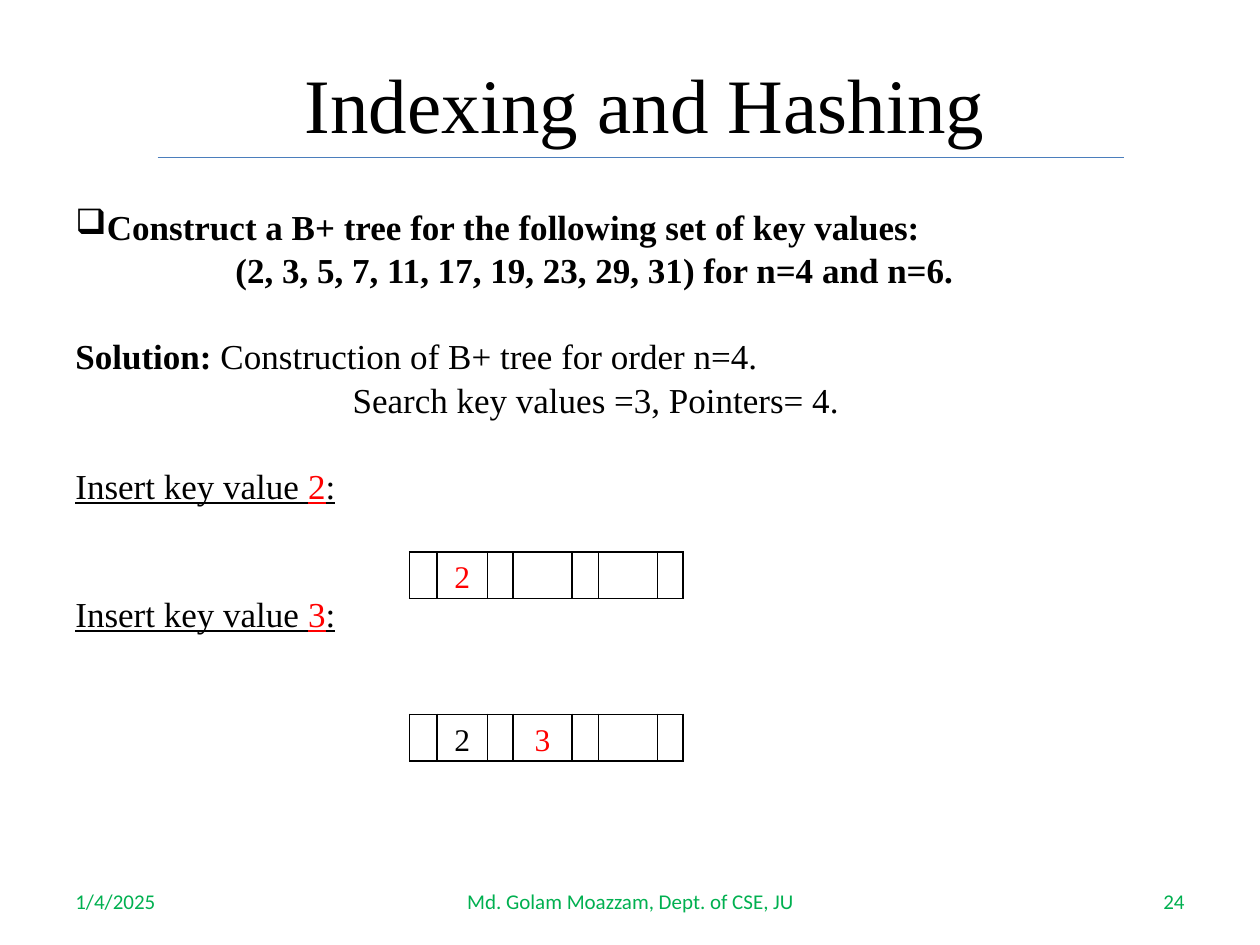
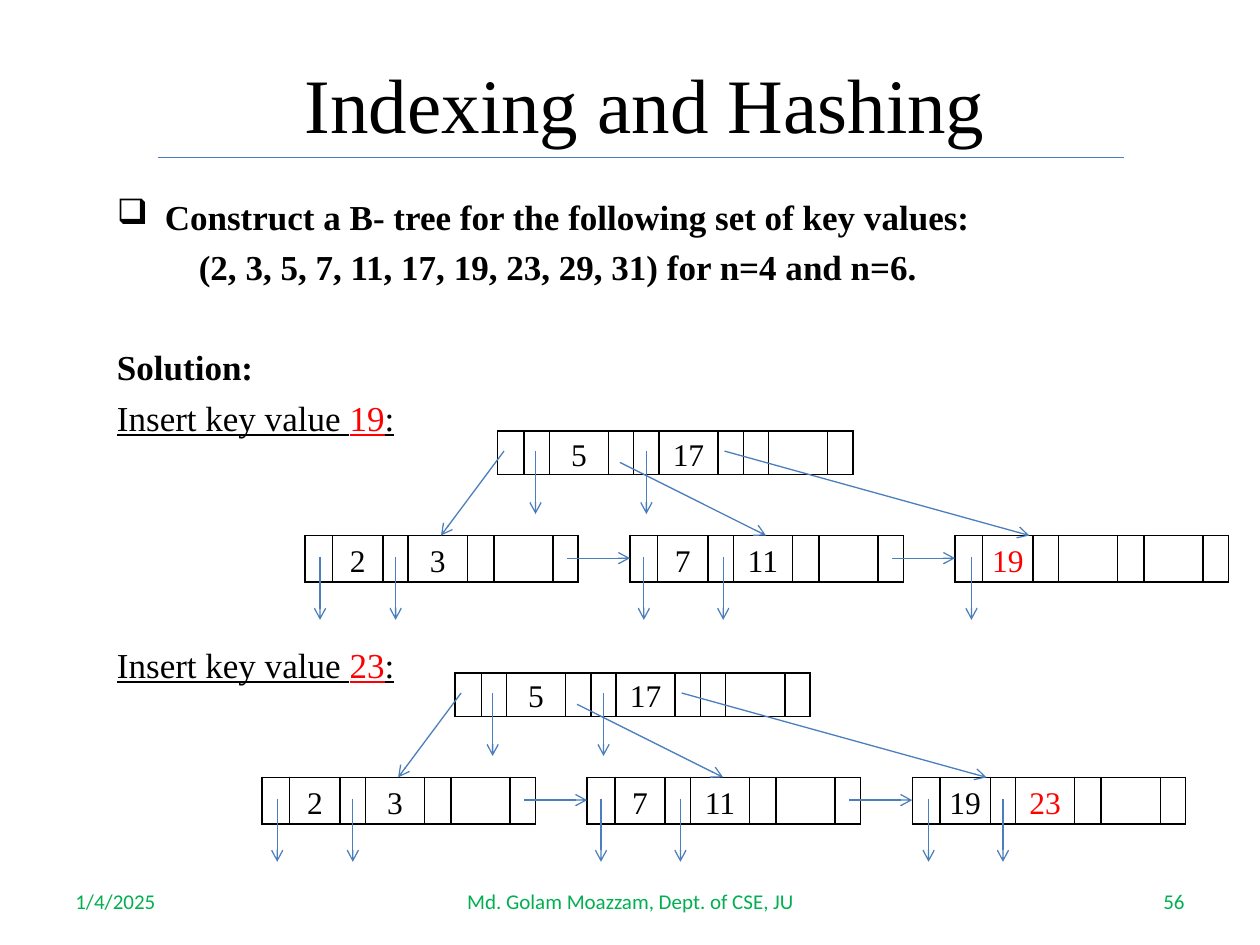
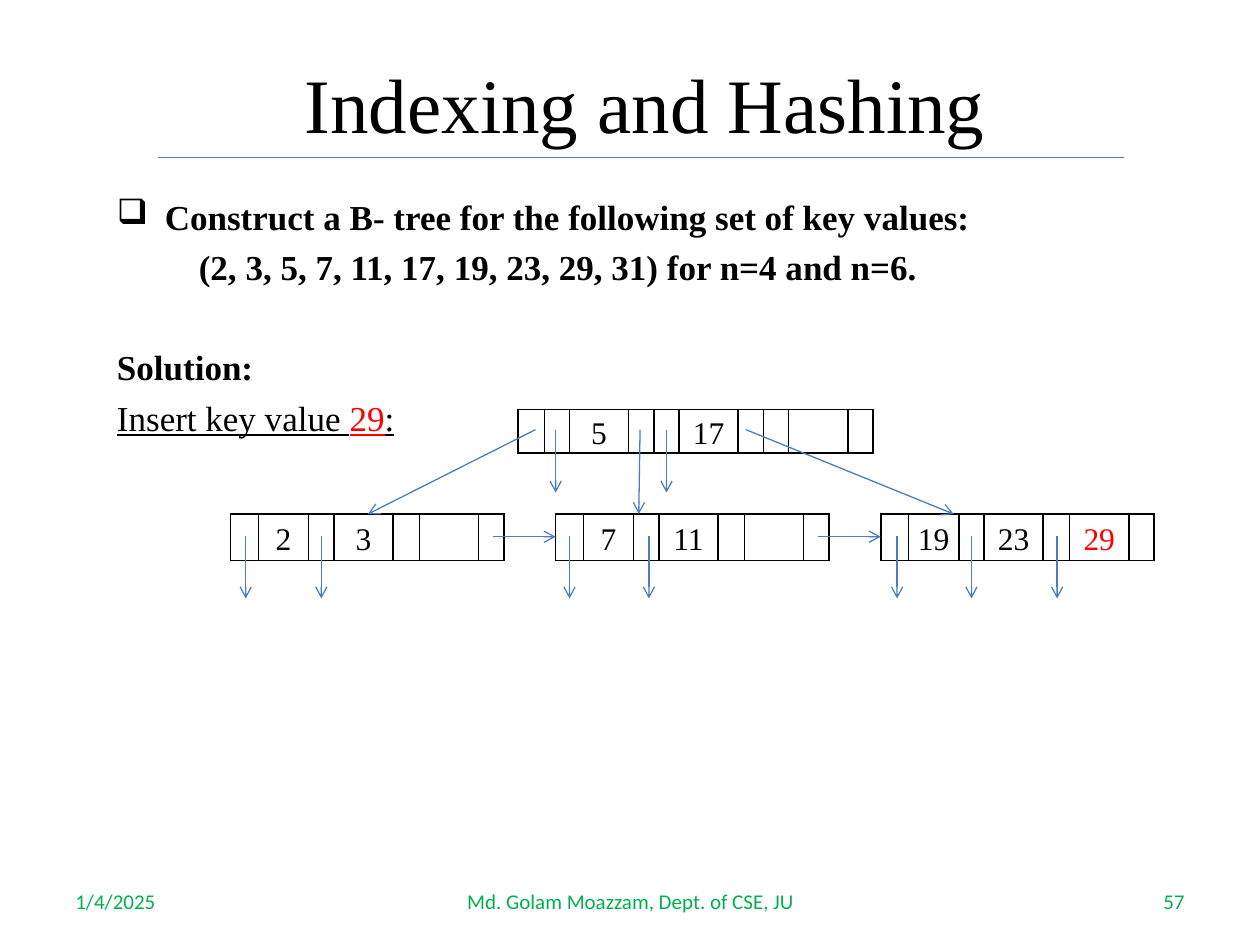
from pptx import Presentation
from pptx.dml.color import RGBColor
from pptx.enum.shapes import MSO_CONNECTOR
from pptx.enum.text import MSO_ANCHOR as Anchor, PP_ALIGN as Align
from pptx.oxml.ns import qn
from pptx.util import Emu, Pt
from lxml.etree import SubElement

PX = 9144
SERIF, SANS = "Times New Roman", "Calibri"
BLACK, RED, GREEN, BLUE = "000000", "FF0000", "00B050", "4B7EBC"
LEAF_COLUMNS = (22, 40, 20, 47, 21, 47, 20)
ROOT_COLUMNS = (21, 20, 47, 20, 20, 47, 20, 20, 47, 20)
LEAF_KEYS = (1, 3, 5)
ROOT_KEYS = (2, 5, 8)
LEAF_HEIGHT, ROOT_HEIGHT = 37, 33
LEAF_PITCH, LEVEL_PITCH = 258, 83
RECORD_POINTERS = ((12, 72), (11, 74), (13, 72, 140))
ROOT_POINTERS = (30, 118)
SLANTED_LINKS = ((5, 16, 108), (97, 25, 108), (180, 16, 59))
UPRIGHT_LINKS = ((14, 16, 109), (97, 16, 66), (181, 16, 58))
KEY_VALUES = "(2, 3, 5, 7, 11, 17, 19, 23, 29, 31) for n=4 and n=6."


def px(length):
    return Emu(length * PX)


def color(value):
    return RGBColor.from_string(value)


def bold(text):
    return [(text, True, False, BLACK)]


def plain(text):
    return [(text, False, False, BLACK)]


def insertion(key):
    return [("Insert key value ", False, True, BLACK),
            (str(key), False, True, RED),
            (":", False, True, BLACK)]


class Deck:
    def __init__(self):
        self.presentation = Presentation()
        self.presentation.slide_width = px(1000)
        self.presentation.slide_height = px(750)
        self.slide = None

    def start_slide(self, number):
        layout = self.presentation.slide_layouts[6]
        self.slide = self.presentation.slides.add_slide(layout)
        self.label("Indexing and Hashing", (133, 38, 758, 87), 44, SERIF, BLACK, Align.CENTER)
        for text, left, width, align in (
                ("1/4/2025", 50, 233, Align.LEFT),
                ("Md. Golam Moazzam, Dept. of CSE, JU", 342, 317, Align.CENTER),
                (str(number), 717, 233, Align.RIGHT)):
            self.label(text, (left, 695, width, 40), 12, SANS, GREEN, align)
        self.line((125, 125), (892, 125))

    def format_run(self, run, size, font, fill, is_bold=False, underlined=False):
        run.font.size = Pt(size)
        run.font.name = font
        run.font.bold = is_bold
        run.font.underline = underlined
        run.font.color.rgb = color(fill)

    def text_box(self, box, anchor):
        text_frame = self.slide.shapes.add_textbox(*map(px, box)).text_frame
        text_frame.word_wrap = True
        text_frame.vertical_anchor = anchor
        return text_frame

    def label(self, text, box, size, font, fill, align):
        text_frame = self.text_box(box, Anchor.MIDDLE)
        text_frame.text = text
        paragraph = text_frame.paragraphs[0]
        paragraph.alignment = align
        self.format_run(paragraph.runs[0], size, font, fill)

    def body(self, box, bullet_indent, paragraphs):
        text_frame = self.text_box(box, Anchor.TOP)
        for index, (space, indent, pieces) in enumerate(paragraphs):
            paragraph = text_frame.paragraphs[0] if index == 0 else text_frame.add_paragraph()
            properties = paragraph._p.get_or_add_pPr()
            if index == 0:
                properties.set("marL", str(px(bullet_indent)))
                properties.set("indent", str(px(-bullet_indent)))
                SubElement(properties, qn("a:buChar")).set("char", "❑")
            else:
                properties.set("marL", str(px(indent)))
                properties.set("indent", "0")
                paragraph.space_before = Pt(space)
            for text, is_bold, underlined, fill in pieces:
                run = paragraph.add_run()
                run.text = text
                self.format_run(run, 20, SERIF, fill, is_bold, underlined)

    def line(self, start, end, arrow=False):
        connector = self.slide.shapes.add_connector(
            MSO_CONNECTOR.STRAIGHT, *map(px, start + end))
        connector.line.color.rgb = color(BLUE)
        connector.line.width = Pt(0.75)
        if arrow:
            SubElement(connector.line._get_or_add_ln(), qn("a:tailEnd")).set("type", "arrow")
        SubElement(connector._element.spPr, qn("a:effectLst"))

    def arrow(self, left, top, dx, dy):
        self.line((left, top), (left + dx, top + dy), True)

    def style_cell(self, cell):
        properties = cell._tc.get_or_add_tcPr()
        for side in ("lnL", "lnR", "lnT", "lnB"):
            border = SubElement(properties, qn("a:" + side), w=str(Pt(1)))
            fill = SubElement(border, qn("a:solidFill"))
            SubElement(fill, qn("a:srgbClr")).set("val", BLACK)
        cell.fill.background()
        cell.margin_left = cell.margin_right = px(7)
        cell.margin_top = cell.margin_bottom = 0
        cell.vertical_anchor = Anchor.MIDDLE

    def node(self, left, top, keys, new_key=None, columns=LEAF_COLUMNS,
             key_columns=LEAF_KEYS, height=LEAF_HEIGHT):
        frame = self.slide.shapes.add_table(
            1, len(columns), px(left), px(top), px(sum(columns)), px(height))
        table = frame.table
        table.first_row = table.horz_banding = False
        table.rows[0].height = px(height)
        for index, width in enumerate(columns):
            table.columns[index].width = px(width)
            self.style_cell(table.cell(0, index))
        for key, index in zip(keys, key_columns):
            text_frame = table.cell(0, index).text_frame
            text_frame.text = str(key)
            paragraph = text_frame.paragraphs[0]
            paragraph.alignment = Align.CENTER
            paragraph.line_spacing = 1.15
            self.format_run(paragraph.runs[0], 18, SERIF, RED if key == new_key else BLACK)

    def tree(self, left, top, root_offset, last_leaf, links):
        root_left, root_top = left + root_offset, top - LEVEL_PITCH
        self.node(root_left, root_top, (5, 17), None, ROOT_COLUMNS, ROOT_KEYS, ROOT_HEIGHT)
        leaves = ((2, 3), (7, 11), last_leaf)
        for index, keys in enumerate(leaves):
            leaf_left = left + index * LEAF_PITCH
            self.node(leaf_left, top, keys, last_leaf[-1])
            for _, offset in zip(keys, RECORD_POINTERS[index]):
                self.arrow(leaf_left + offset, top + 17, 0, 50)
            if index:
                self.arrow(leaf_left - 50, top + 18, 50, 0)
            start_x, start_y, end_x = links[index]
            self.line((root_left + start_x, root_top + start_y), (leaf_left + end_x, top), True)
        for offset in ROOT_POINTERS:
            self.arrow(root_left + offset, root_top + 16, 0, 50)

    def b_tree_slide(self, number, first_key, later=()):
        self.start_slide(number)
        self.body((83, 150, 900, 558), 38, [
            (0, 0, bold("Construct a B- tree for the following set of key values:")),
            (5, 65, bold(KEY_VALUES)),
            (33, 0, bold("Solution:")),
            (5, 0, insertion(first_key)),
            *((117, 0, insertion(key)) for key in later)])


def main():
    deck = Deck()

    deck.start_slide(24)
    deck.body((50, 158, 900, 517), 25, [
        (0, 0, bold("Construct a B+ tree for the following set of key values:")),
        (1, 127, bold(KEY_VALUES)),
        (25, 0, bold("Solution:") + plain(" Construction of B+ tree for order n=4.")),
        (1, 220, plain("Search key values =3, Pointers= 4.")),
        (25, 0, insertion(2)),
        (49, 0, insertion(3))])
    deck.node(325, 438, (2,), 2)
    deck.node(325, 567, (2, 3), 3)

    deck.b_tree_slide(56, 19, (23,))
    deck.tree(242, 425, 153, (19,), SLANTED_LINKS)
    deck.tree(208, 617, 153, (19, 23), SLANTED_LINKS)

    deck.b_tree_slide(57, 29)
    deck.tree(183, 408, 228, (19, 23, 29), UPRIGHT_LINKS)

    deck.presentation.save("out.pptx")


if __name__ == "__main__":
    main()
